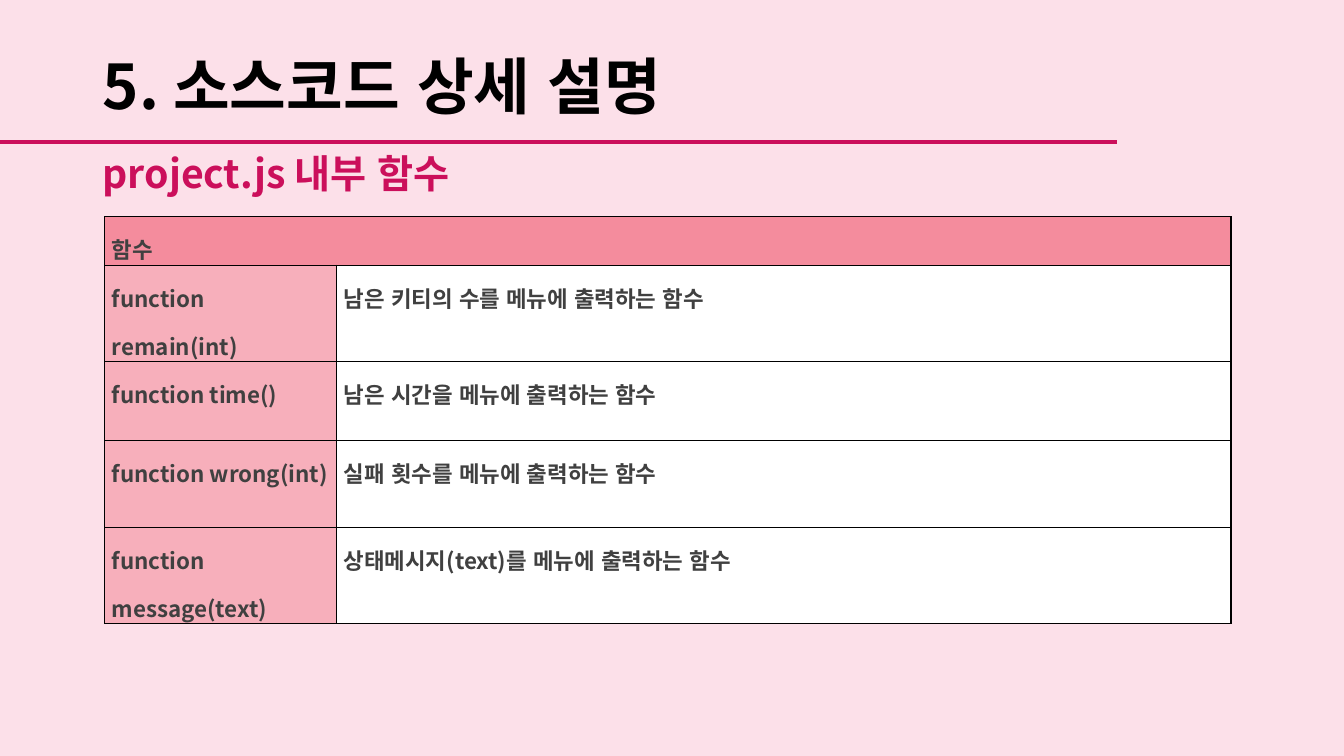
from lxml.etree import SubElement
from pptx import Presentation
from pptx.dml.color import RGBColor
from pptx.enum.lang import MSO_LANGUAGE_ID
from pptx.enum.shapes import MSO_CONNECTOR
from pptx.enum.text import MSO_ANCHOR, PP_ALIGN
from pptx.oxml.ns import qn
from pptx.util import Inches, Pt

FONT = "Noto Sans CJK KR"
COLORS = {
    "background": "FCE0E9",
    "title": "000000",
    "accent": "CB0F5B",
    "text": "404040",
    "header": "F48C9D",
    "name": "F7AFBB",
    "description": "FFFFFF",
    "border": "000000",
}
FUNCTIONS = [
    ("function remain(int)", "남은 키티의 수를 메뉴에 출력하는 함수"),
    ("function time()", "남은 시간을 메뉴에 출력하는 함수"),
    ("function wrong(int)", "실패 횟수를 메뉴에 출력하는 함수"),
    ("function message(text)", "상태메시지(text)를 메뉴에 출력하는 함수"),
]
COLUMN_WIDTHS = [2.3, 8.87]
ROW_HEIGHTS = [0.48, 0.96, 0.78, 0.86, 0.96]


def rgb(name):
    return RGBColor.from_string(COLORS[name])


def write(frame, text, size, color, spacing, align=PP_ALIGN.LEFT):
    """Fill a text frame with one bold Korean paragraph, without kerning."""
    frame.text = text
    frame.word_wrap = True
    paragraph = frame.paragraphs[0]
    paragraph.alignment = align
    paragraph.line_spacing = spacing
    for run in paragraph.runs:
        run.font.name = FONT
        run.font.size = Pt(size)
        run.font.bold = True
        run.font.color.rgb = rgb(color)
        run.font.language_id = MSO_LANGUAGE_ID.KOREAN
        run.font._element.set("kern", "0")
        SubElement(run.font._element, qn("a:ea"), typeface=FONT)


def add_title(slide, text):
    title = slide.shapes.title
    title.left, title.top = Inches(0.92), Inches(0.44)
    title.width, title.height = Inches(11.5), Inches(0.9)
    write(title.text_frame, text, 44, "title", 0.9)
    title.text_frame.vertical_anchor = MSO_ANCHOR.MIDDLE


def add_subtitle(slide, text):
    subtitle = slide.shapes.add_textbox(
        Inches(0.92), Inches(1.48), Inches(10.61), Inches(0.65))
    write(subtitle.text_frame, text, 28, "accent", 0.9)


def add_rule(slide):
    rule = slide.shapes.add_connector(
        MSO_CONNECTOR.STRAIGHT, 0, Inches(1.41), Inches(11.08), Inches(1.41))
    rule.line.color.rgb = rgb("accent")
    rule.line.width = Pt(3)
    SubElement(rule._element.spPr, qn("a:effectLst"))


def add_borders(cell):
    """Put the four border lines ahead of the fill, as the schema asks."""
    properties = cell._tc.get_or_add_tcPr()
    for position, side in enumerate(("a:lnL", "a:lnR", "a:lnT", "a:lnB")):
        border = SubElement(properties, qn(side), w=str(Pt(1)))
        fill = SubElement(border, qn("a:solidFill"))
        SubElement(fill, qn("a:srgbClr"), val=COLORS["border"])
        properties.insert(position, border)


def format_cell(cell, fill):
    cell.margin_left = cell.margin_right = Inches(0.07)
    cell.margin_top = cell.margin_bottom = 0
    cell.fill.solid()
    cell.fill.fore_color.rgb = rgb(fill)
    add_borders(cell)


def add_function_table(slide):
    table = slide.shapes.add_table(
        len(ROW_HEIGHTS), len(COLUMN_WIDTHS), Inches(1.04), Inches(2.15),
        Inches(sum(COLUMN_WIDTHS)), Inches(sum(ROW_HEIGHTS))).table
    for column, width in zip(table.columns, COLUMN_WIDTHS):
        column.width = Inches(width)
    for row, height in zip(table.rows, ROW_HEIGHTS):
        row.height = Inches(height)

    header = table.cell(0, 0)
    header.merge(table.cell(0, 1))
    for cell in table.rows[0].cells:
        format_cell(cell, "header")
    write(header.text_frame, "함수", 16, "text", 1.5)

    for row_index, entry in enumerate(FUNCTIONS, start=1):
        for column_index, fill in enumerate(("name", "description")):
            cell = table.cell(row_index, column_index)
            format_cell(cell, fill)
            write(cell.text_frame, entry[column_index], 16, "text", 1.5,
                  PP_ALIGN.JUSTIFY)


def main():
    presentation = Presentation()
    presentation.slide_width = Inches(13.33)
    presentation.slide_height = Inches(7.5)
    slide = presentation.slides.add_slide(presentation.slide_layouts[5])
    slide.background.fill.solid()
    slide.background.fill.fore_color.rgb = rgb("background")
    add_title(slide, "5. 소스코드 상세 설명")
    add_subtitle(slide, "project.js 내부 함수")
    add_rule(slide)
    add_function_table(slide)
    presentation.save("out.pptx")


if __name__ == "__main__":
    main()
